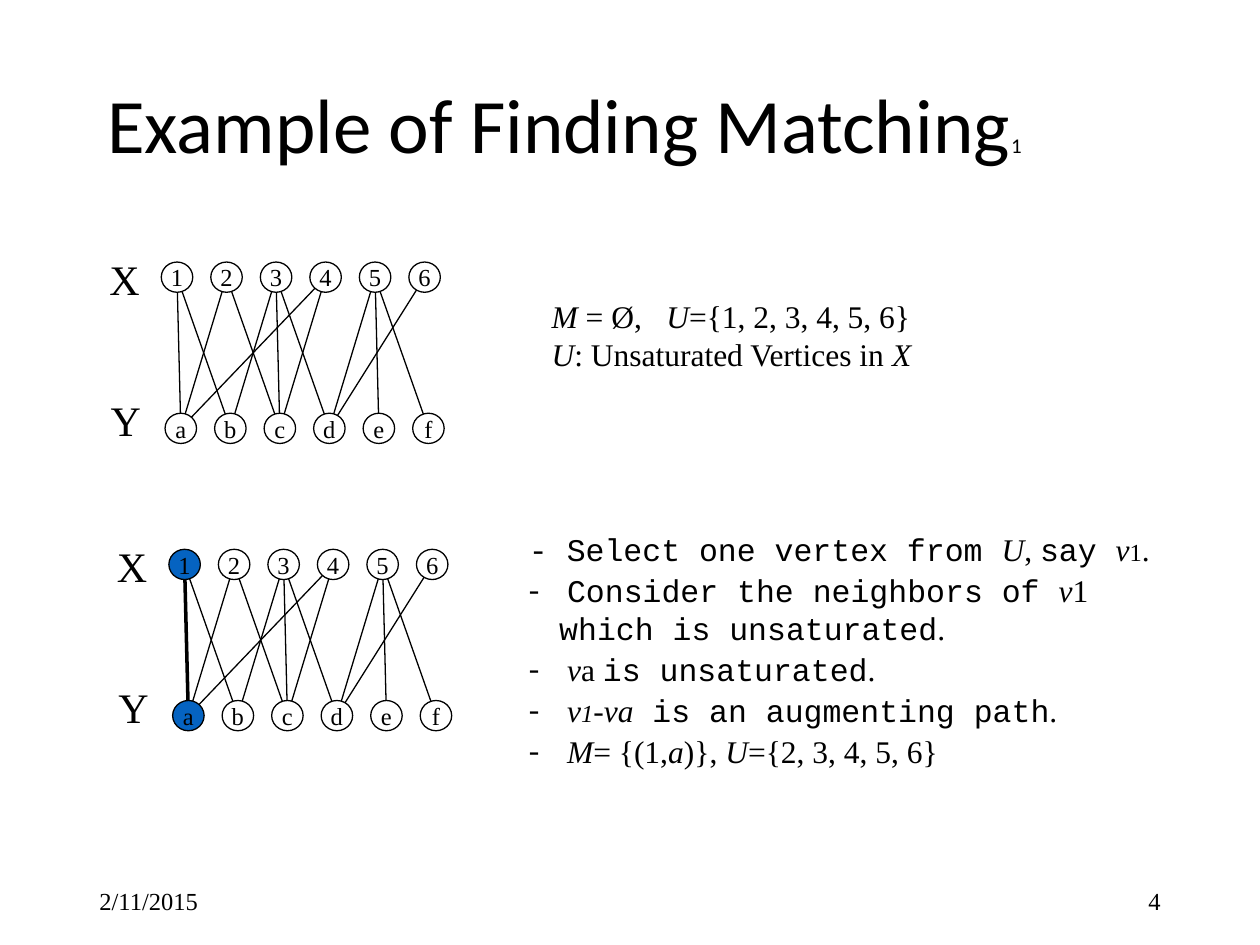
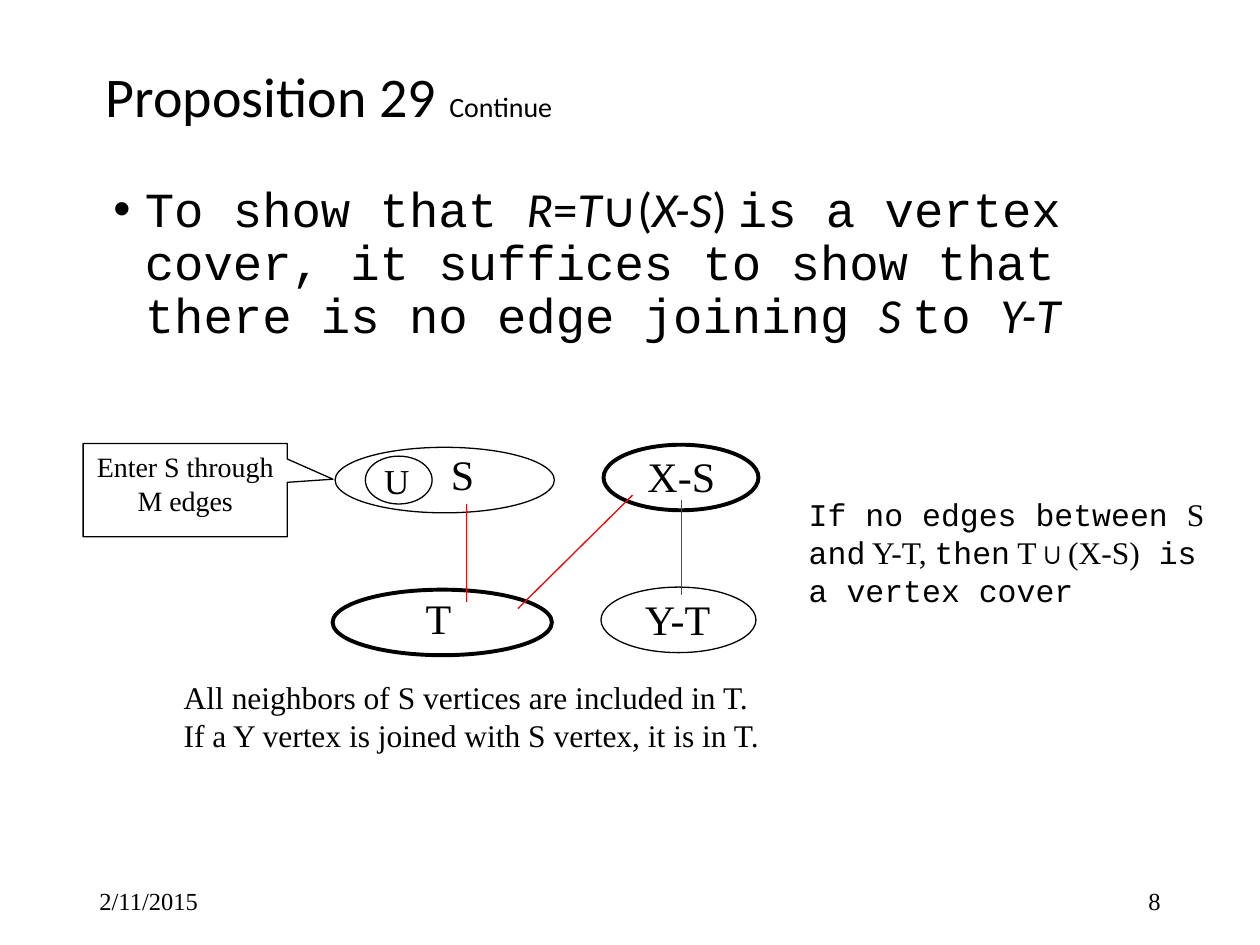
from math import hypot

from lxml import etree
from pptx import Presentation
from pptx.dml.color import RGBColor
from pptx.enum.shapes import MSO_CONNECTOR, MSO_SHAPE
from pptx.enum.text import MSO_ANCHOR, MSO_AUTO_SIZE, PP_ALIGN
from pptx.oxml.ns import qn
from pptx.util import Inches, Pt

LINE = MSO_CONNECTOR.STRAIGHT
ELLIPSE = MSO_SHAPE.OVAL
CALLOUT = MSO_SHAPE.RECTANGULAR_CALLOUT
LEFT, CENTER, RIGHT = PP_ALIGN.LEFT, PP_ALIGN.CENTER, PP_ALIGN.RIGHT
TOP, MIDDLE = MSO_ANCHOR.TOP, MSO_ANCHOR.MIDDLE

BLACK, RED, BLUE = "000000", "FF0000", "0563C1"
TIMES = {"name": "Times New Roman"}
COURIER = {"name": "Courier New"}
CALIBRI = {"name": "Calibri"}
ITALIC = {**TIMES, "italic": True}
CALIBRI_ITALIC = {**CALIBRI, "italic": True}

THIN, THICK = 0.75, 2.25
NODE_WIDTH, NODE_HEIGHT, NODE_STEP = 0.25, 0.24, 0.393
Y_ROW_SHIFT, Y_ROW_DROP = 0.03, 1.2
EDGES = "1a 1b 2a 2c 3b 3c 3d 4a 4c 5d 5e 5f 6d".split()


def color(hex_value):
    return RGBColor.from_string(hex_value)


def lengths(values):
    return [Inches(value) for value in values]


def add_bullet(para, mark, font_name, indent):
    properties = para._p.get_or_add_pPr()
    properties.set("marL", str(Inches(indent)))
    properties.set("indent", str(-Inches(indent)))
    etree.SubElement(properties, qn("a:buFont"), typeface=font_name)
    etree.SubElement(properties, qn("a:buChar"), char=mark)


def add_tab_stop(para, position):
    tabs = etree.SubElement(para._p.get_or_add_pPr(), qn("a:tabLst"))
    etree.SubElement(tabs, qn("a:tab"), pos=str(Inches(position)), algn="l")


def add_spans(para, spans, size):
    """Add (text, format) spans; a format may override the size."""
    for text, style in spans:
        span = para.add_run()
        span.text = text
        span.font.color.rgb = color(BLACK)
        for key, value in {"size": size, **style}.items():
            setattr(span.font, key, Pt(value) if key == "size" else value)


def fill_frame(frame, paragraphs, size, **formats):
    """Write the paragraphs, each a list of spans, and return them."""
    frame.word_wrap = True
    frame.vertical_anchor = formats.pop("anchor", TOP)
    for index, spans in enumerate(paragraphs):
        para = frame.add_paragraph() if index else frame.paragraphs[0]
        for key, value in formats.items():
            setattr(para, key, value)
        add_spans(para, spans, size)
    return frame.paragraphs


def add_text(page, place, paragraphs, size, **formats):
    box = page.shapes.add_textbox(*lengths(place))
    return fill_frame(box.text_frame, paragraphs, size, **formats)


def add_label(page, left, top, text, size=24, width=0.81):
    add_text(page, (left, top, width, 0.5), [[(text, TIMES)]], size)


def add_outline(page, kind, place, width=THIN, fill=None):
    shape = page.shapes.add_shape(kind, *lengths(place))
    shape.shadow.inherit = False
    if fill:
        shape.fill.solid()
        shape.fill.fore_color.rgb = color(fill)
    else:
        shape.fill.background()
    shape.line.color.rgb = color(BLACK)
    shape.line.width = Pt(width)
    return shape


def add_line(page, start, end, line_color=BLACK, width=THIN):
    line = page.shapes.add_connector(LINE, *lengths((*start, *end)))
    line.line.color.rgb = color(line_color)
    line.line.width = Pt(width)
    etree.SubElement(line._element.spPr, qn("a:effectLst"))


def fill_placeholder(shape, place, spans, size, **formats):
    shape.left, shape.top, shape.width, shape.height = lengths(place)
    shape.text_frame.auto_size = MSO_AUTO_SIZE.NONE
    return fill_frame(shape.text_frame, [spans], size, alignment=LEFT,
                      line_spacing=0.9, **formats)


def add_page(deck, layout, number, title_place, title_spans):
    """Add a slide with its title, date and number."""
    page = deck.slides.add_slide(deck.slide_layouts[layout])
    fill_placeholder(page.shapes.title, title_place, title_spans, 44, anchor=MIDDLE)
    for left, text, align in ((0.69, "2/11/2015", LEFT), (7.06, number, RIGHT)):
        add_text(page, (left, 6.95, 2.25, 0.4), [[(text, TIMES)]], 14,
                 anchor=MIDDLE, alignment=align)
    return page


def add_edge(page, start, end, width):
    """Join two node centres, leaving out the part inside the nodes."""
    across, down = end[0] - start[0], end[1] - start[1]
    share = NODE_HEIGHT / 2 / hypot(across, down)
    add_line(page,
             (start[0] + across * share, start[1] + down * share),
             (end[0] - across * share, end[1] - down * share), width=width)


def add_bipartite_graph(page, left, top, matched=""):
    """Draw both rows of vertices; matched names one highlighted edge."""
    rows = (("X", "123456", left, top),
            ("Y", "abcdef", left + Y_ROW_SHIFT, top + Y_ROW_DROP))
    corners = {name: (row_left + index * NODE_STEP, row_top)
               for _, names, row_left, row_top in rows
               for index, name in enumerate(names)}
    centers = {name: (x + NODE_WIDTH / 2, y + NODE_HEIGHT / 2)
               for name, (x, y) in corners.items()}
    for edge in EDGES:
        add_edge(page, centers[edge[0]], centers[edge[1]],
                 2 if edge == matched else THIN)
    for name, corner in corners.items():
        node = add_outline(page, ELLIPSE, (*corner, NODE_WIDTH, NODE_HEIGHT),
                           fill=BLUE if name in matched else None)
        frame = node.text_frame
        for side in ("left", "right", "top", "bottom"):
            setattr(frame, f"margin_{side}", 0)
        fill_frame(frame, [[(name, TIMES)]], 14, anchor=MIDDLE, alignment=CENTER)
        frame.word_wrap = False
    add_label(page, left - 0.51, top - 0.12, "X", width=0.48)
    add_label(page, left - 0.5, top + 1, "Y", width=0.48)


def build_matching_page(deck):
    page = add_page(deck, 5, "4", (0.75, 0.52, 8.5, 1),
                    [("Example of Finding Matching", CALIBRI),
                     ("1", {**CALIBRI, "size": 12})])
    add_bipartite_graph(page, 1.28, 2.08)
    add_bipartite_graph(page, 1.34, 4.36, matched="1a")

    start_state = add_text(page, (4.28, 2.31, 3.36, 0.7), [
        [("M", ITALIC), (" = Ø,\t", TIMES), ("U", ITALIC),
         ("={1, 2, 3, 4, 5, 6}", TIMES)],
        [("U", ITALIC), (": Unsaturated Vertices in ", TIMES), ("X", ITALIC)],
    ], 18)
    add_tab_stop(start_state[0], 0.91)

    steps = add_text(page, (4.1, 4.16, 5.43, 2.04), [
        [("- Select one vertex from ", COURIER), ("U", ITALIC), (", ", TIMES),
         ("say ", COURIER), ("v", ITALIC), ("1", {**TIMES, "size": 14}), (".", TIMES)],
        [(" ", TIMES), ("Consider the neighbors of ", COURIER), ("v", ITALIC),
         ("1 ", TIMES), ("which is unsaturated", COURIER), (".", TIMES)],
        [(" ", TIMES), ("v", ITALIC), ("a ", TIMES), ("is unsaturated", COURIER),
         (".", TIMES)],
        [(" ", TIMES), ("v", ITALIC), ("1", {**ITALIC, "size": 14}), ("-", TIMES),
         ("va", ITALIC), (" is an augmenting path", COURIER), (".", TIMES)],
        [(" ", TIMES), ("M", ITALIC), ("= {(1,", TIMES), ("a", ITALIC),
         (")}, ", TIMES), ("U", ITALIC), ("={2, 3, 4, 5, 6}", TIMES)],
    ], 18)
    for step in steps[1:]:
        add_bullet(step, "-", TIMES["name"], 0.24)
        step.space_before = Pt(1.8)


def build_proposition_page(deck):
    page = add_page(deck, 1, "8", (0.74, 0.29, 8.5, 1),
                    [("Proposition 29 ", {**CALIBRI, "size": 32}),
                     ("Continue", {**CALIBRI, "size": 16})])
    claim = fill_placeholder(page.placeholders[1], (0.8, 1.42, 8.76, 1.46), [
        ("To show that ", COURIER), ("R", CALIBRI_ITALIC), ("=", CALIBRI),
        ("T", CALIBRI_ITALIC), ("∪(", CALIBRI), ("X-S", CALIBRI_ITALIC),
        (") ", CALIBRI),
        ("is a vertex cover, it suffices to show that there is no edge joining ",
         COURIER),
        ("S ", CALIBRI_ITALIC), ("to ", COURIER), ("Y-T", CALIBRI_ITALIC),
    ], 28, space_before=Pt(0))
    add_bullet(claim[0], "•", "Arial", 0.25)

    vertex_sets = (
        ("S", (2.66, 3.55, 1.74, 0.52), THIN, (3.48, 3.51)),
        ("X-S", (4.79, 3.53, 1.23, 0.52), THICK, (5.04, 3.53)),
        ("T", (2.64, 4.68, 1.74, 0.52), THICK, (3.28, 4.65)),
        ("Y-T", (4.77, 4.66, 1.23, 0.52), THIN, (5.02, 4.66)),
    )
    for name, place, width, label_place in vertex_sets:
        add_outline(page, ELLIPSE, place, width)
        add_label(page, *label_place, name)
    add_outline(page, ELLIPSE, (2.9, 3.62, 0.53, 0.38))
    add_label(page, 2.95, 3.6, "U", size=20)

    for start, end in (((4.11, 4.83), (5.02, 3.93)),
                       ((3.7, 4), (3.7, 4.78)),
                       ((5.41, 3.97), (5.41, 4.72))):
        add_line(page, start, end, RED)

    callout = add_outline(page, CALLOUT, (0.66, 3.52, 1.62, 0.74))
    callout.adjustments[0], callout.adjustments[1] = 0.724, -0.117
    fill_frame(callout.text_frame, [[("Enter S through M edges", TIMES)]], 16,
               alignment=CENTER)

    add_text(page, (6.32, 3.88, 3.39, 1.01), [[
        ("If no edges between ", COURIER), ("S ", TIMES), ("and", COURIER),
        (" Y-T, ", TIMES), ("then", COURIER), (" T∪(X-S)", TIMES),
        (" is a vertex cover", COURIER)]], 18)
    add_text(page, (1.36, 5.33, 5.93, 0.71), [
        [("All neighbors of S vertices are included in T.", TIMES)],
        [("If a Y vertex is joined with S vertex, it is in T.", TIMES)]], 18)


def main():
    deck = Presentation()
    deck.slide_width, deck.slide_height = Inches(10), Inches(7.5)
    build_matching_page(deck)
    build_proposition_page(deck)
    deck.save("out.pptx")


if __name__ == "__main__":
    main()
